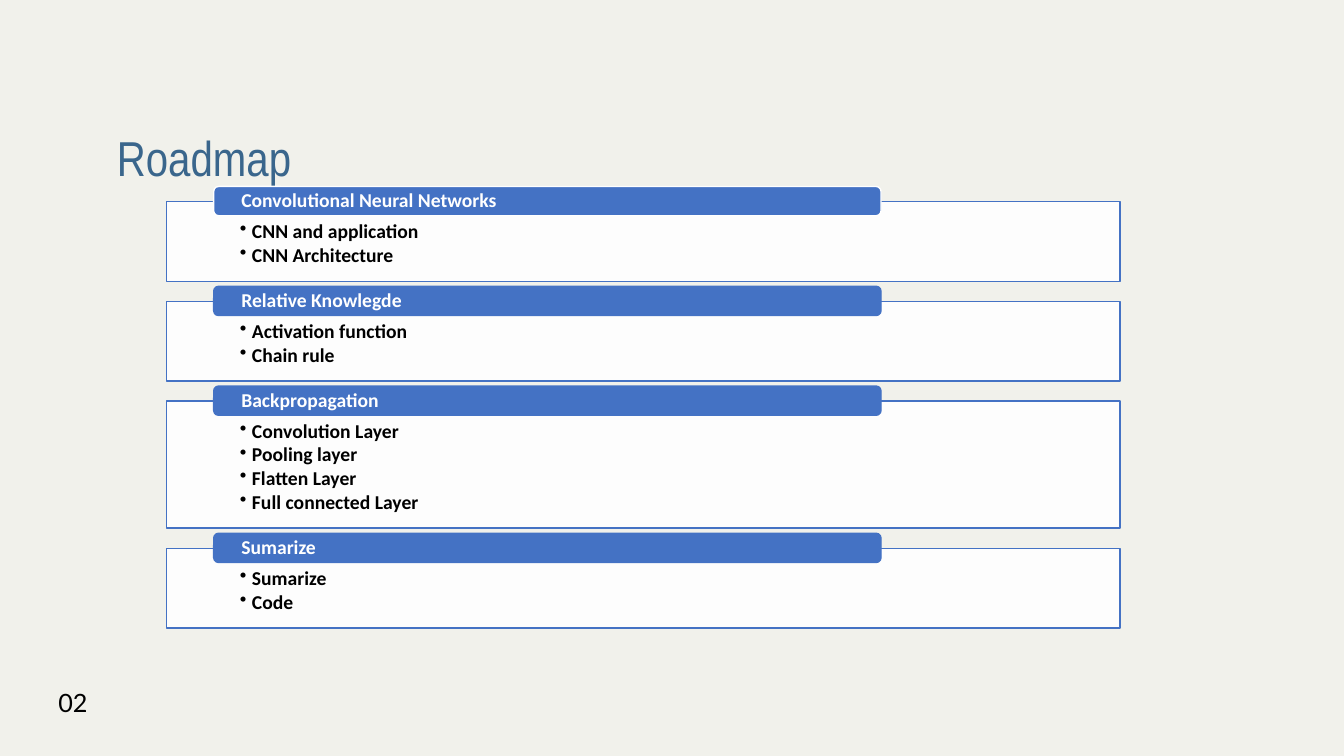
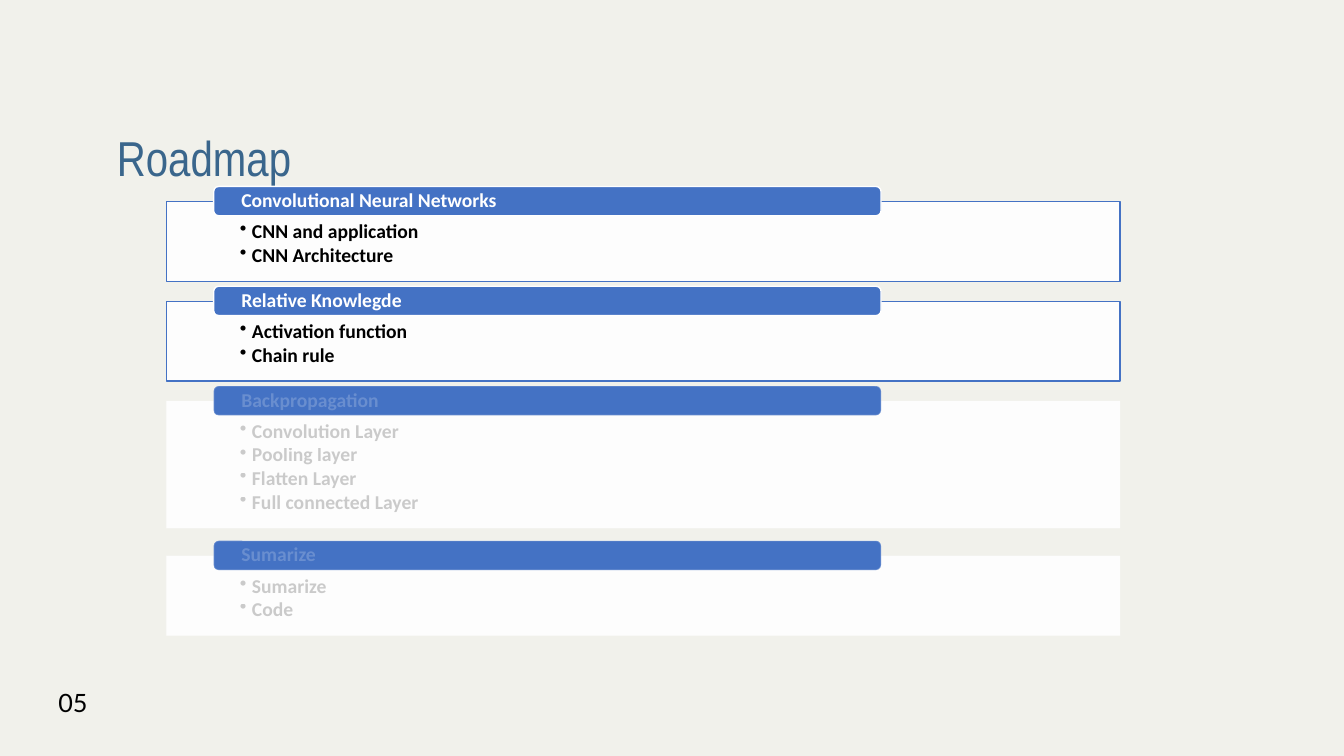
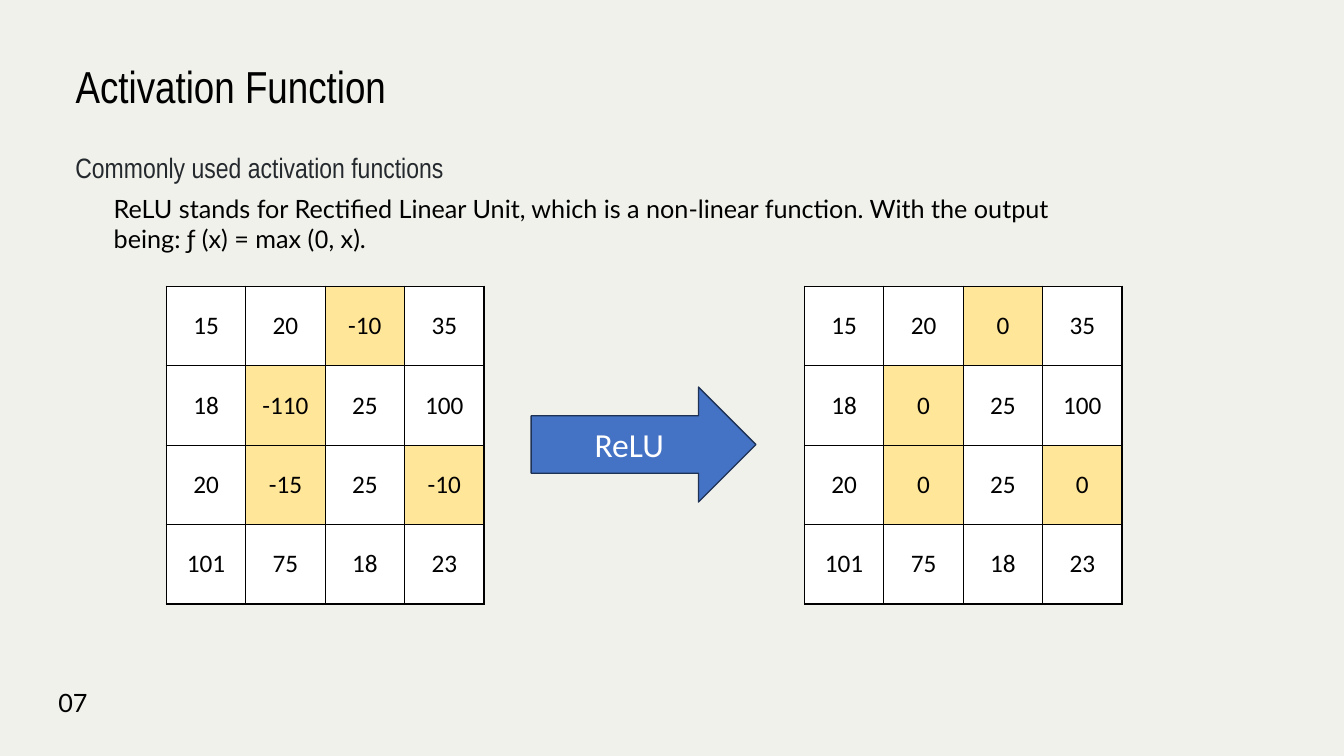
from dataclasses import dataclass
from itertools import product

from lxml.etree import SubElement
from pptx import Presentation
from pptx.dml.color import RGBColor
from pptx.enum.shapes import MSO_SHAPE
from pptx.enum.text import MSO_ANCHOR, MSO_AUTO_SIZE, PP_ALIGN
from pptx.oxml.ns import qn
from pptx.util import Inches, Pt

COLORS = {
    "paper": "F1F1EB",
    "white": "FFFFFF",
    "black": "000000",
    "blue": "4472C4",
    "navy": "1E3256",
    "teal": "3A668C",
    "slate": "24292E",
    "yellow": "FFE699",
}
COLS, ROWS = 133.33, 75
TITLE_FONT, BODY_FONT, NOTE_FONT = "Arial Narrow", "Calibri", "Lato"
FADED = 20
PANEL_LEFT, PANEL_WIDTH = 16.5, 94.6
HEADER_LEFT, HEADER_WIDTH, HEADER_HEIGHT = 21.2, 66.2, 2.9
FIRST_PANEL, PANEL_GAP, HEADER_RISE = 20, 2, 1.5
PANEL_PADDING, ITEM_HEIGHT = 3.2, 2.35
CELL = 7.88


@dataclass
class Box:
    left: float
    top: float
    width: float
    height: float

    def emu(self) -> tuple:
        return tuple(map(grid, (self.left, self.top, self.width, self.height)))


@dataclass
class Section:
    title: str
    items: list[str]


@dataclass
class Roadmap:
    page: str
    active: int
    white_edges: int
    last_shift: float = 0


SECTIONS = [
    Section("Convolutional Neural Networks", ["CNN and application", "CNN Architecture"]),
    Section("Relative Knowlegde", ["Activation function", "Chain rule"]),
    Section("Backpropagation",
            ["Convolution Layer", "Pooling layer", "Flatten Layer", "Full connected Layer"]),
    Section("Sumarize", ["Sumarize", "Code"]),
]
ROADMAPS = [
    Roadmap("02", active=4, white_edges=1),
    Roadmap("05", active=2, white_edges=4, last_shift=0.75),
]
MATRIX = [
    [15, 20, -10, 35],
    [18, -110, 25, 100],
    [20, -15, 25, -10],
    [101, 75, 18, 23],
]


def grid(units: float) -> int:
    return Inches(units / 10)


def rgb(name: str) -> RGBColor:
    return RGBColor.from_string(COLORS[name])


def set_alpha(el, percent: int) -> None:
    if percent < 100:
        for color in el.iter(qn("a:srgbClr")):
            SubElement(color, qn("a:alpha"), val=str(percent * 1000))


def write(p, text: str, *, size: float, color: str, font: str = BODY_FONT,
          bold: bool = False, alpha: int = 100) -> None:
    r = p.add_run()
    r.text = text
    r.font.size, r.font.name, r.font.bold = Pt(size), font, bold
    r.font.color.rgb = rgb(color)
    set_alpha(r._r, alpha)


def set_insets(tf, horizontal: float, top: float, bottom: float) -> None:
    tf.margin_left = tf.margin_right = grid(horizontal)
    tf.margin_top, tf.margin_bottom = grid(top), grid(bottom)


def add_text(slide, box: Box, text: str, **fmt):
    tf = slide.shapes.add_textbox(*box.emu()).text_frame
    tf.word_wrap = True
    write(tf.paragraphs[0], text, **fmt)
    return tf.paragraphs[0]


def add_slide(prs, page: str, title: str, box: Box, **fmt):
    slide = prs.slides.add_slide(prs.slide_layouts[5])
    sp = slide.shapes.title
    sp.left, sp.top, sp.width, sp.height = box.emu()
    tf = sp.text_frame
    tf.word_wrap, tf.auto_size = True, MSO_AUTO_SIZE.NONE
    tf.vertical_anchor = MSO_ANCHOR.TOP
    tf.paragraphs[0].alignment = PP_ALIGN.LEFT
    write(tf.paragraphs[0], title, font=TITLE_FONT, **fmt)
    add_text(slide, Box(4.8, 67.7, 5.5, 4), page, size=18, color="black", font=NOTE_FONT)
    return slide


def add_block(slide, kind, box: Box, *, fill: str, line: str,
              fill_alpha: int = 100, line_alpha: int = 100):
    sp = slide.shapes.add_shape(kind, *box.emu())
    sp.shadow.inherit = False
    sp.fill.solid()
    sp.fill.fore_color.rgb = rgb(fill)
    sp.line.color.rgb = rgb(line)
    sp.line.width = Pt(1)
    spPr = sp._element.spPr
    set_alpha(spPr.find(qn("a:solidFill")), fill_alpha)
    set_alpha(spPr.find(qn("a:ln")), line_alpha)
    sp.text_frame.word_wrap = True
    return sp


def add_bullet(p) -> None:
    pPr = p._p.get_or_add_pPr()
    indent = grid(1.2)
    pPr.set("marL", str(indent))
    pPr.set("indent", str(-indent))
    SubElement(pPr, qn("a:buChar"), char="•")


def add_section(slide, section: Section, top: float, height: float,
                active: bool, white_edge: bool) -> None:
    alpha = 100 if active else FADED
    panel = add_block(slide, MSO_SHAPE.RECTANGLE, Box(PANEL_LEFT, top, PANEL_WIDTH, height),
                      fill="white", fill_alpha=90,
                      line="blue" if active else "white", line_alpha=alpha)
    tf = panel.text_frame
    set_insets(tf, 7.3, 2, 1.1)
    tf.vertical_anchor = MSO_ANCHOR.TOP
    for i, item in enumerate(section.items):
        p = tf.add_paragraph() if i else tf.paragraphs[0]
        p.alignment, p.line_spacing, p.space_after = PP_ALIGN.LEFT, 0.9, Pt(1.8)
        add_bullet(p)
        write(p, item, size=14, color="black", bold=True, alpha=alpha)

    header = add_block(slide, MSO_SHAPE.ROUNDED_RECTANGLE,
                       Box(HEADER_LEFT, top - HEADER_RISE, HEADER_WIDTH, HEADER_HEIGHT),
                       fill="blue", line="white" if white_edge else "blue", line_alpha=alpha)
    tf = header.text_frame
    set_insets(tf, 2.6, 0.1, 0.1)
    tf.vertical_anchor = MSO_ANCHOR.MIDDLE
    p = tf.paragraphs[0]
    p.alignment, p.line_spacing = PP_ALIGN.LEFT, 0.9
    write(p, section.title, size=14, color="white", bold=True, alpha=alpha)


def add_roadmap(prs, roadmap: Roadmap) -> None:
    slide = add_slide(prs, roadmap.page, "Roadmap", Box(11.6, 3.2, 41.8, 12.7),
                      size=35, color="teal")
    tf = slide.shapes.title.text_frame
    set_insets(tf, 0, 0, 0)
    tf.paragraphs[0].line_spacing = Pt(110.3)
    top = FIRST_PANEL
    for i, section in enumerate(SECTIONS):
        height = PANEL_PADDING + ITEM_HEIGHT * len(section.items)
        if i == len(SECTIONS) - 1:
            top += roadmap.last_shift
        add_section(slide, section, top, height, i < roadmap.active, i < roadmap.white_edges)
        top += height + PANEL_GAP


def add_borders(cell) -> None:
    tcPr = cell._tc.get_or_add_tcPr()
    for side in ("lnL", "lnR", "lnT", "lnB"):
        ln = SubElement(tcPr, qn(f"a:{side}"), w=str(Pt(1)))
        SubElement(SubElement(ln, qn("a:solidFill")), qn("a:srgbClr"), val=COLORS["black"])


def add_matrix(slide, left: float, values: list[list[int]]) -> None:
    n = len(values)
    box = Box(left, 28.4, n * CELL, n * CELL)
    table = slide.shapes.add_table(n, n, *box.emu()).table
    table.first_row = table.horz_banding = False
    for row, col in product(range(n), repeat=2):
        cell = table.cell(row, col)
        add_borders(cell)
        cell.fill.solid()
        cell.fill.fore_color.rgb = rgb("yellow" if MATRIX[row][col] < 0 else "white")
        cell.vertical_anchor = MSO_ANCHOR.MIDDLE
        p = cell.text_frame.paragraphs[0]
        p.alignment = PP_ALIGN.CENTER
        write(p, str(values[row][col]), size=18, color="black")


def add_activation(prs) -> None:
    slide = add_slide(prs, "07", "Activation Function", Box(6.5, 5.3, 37.1, 6.4),
                      size=32, color="black")
    add_text(slide, Box(6.5, 14.4, 45.6, 4.4), "Commonly used activation functions",
             size=20, color="slate", font=TITLE_FONT)
    note = {"size": 18, "color": "black"}
    p = add_text(slide, Box(10.3, 18.7, 99.3, 7.1),
                 "ReLU stands for Rectified Linear Unit, which is a non-linear function. "
                 "With the output being: ƒ (x) = max (", font=NOTE_FONT, **note)
    write(p, "0", font="Arial", **note)
    write(p, ", x).", font=NOTE_FONT, **note)

    add_matrix(slide, 16.5, MATRIX)
    arrow = add_block(slide, MSO_SHAPE.RIGHT_ARROW, Box(52.7, 38.4, 22.3, 11.4),
                      fill="blue", line="navy")
    arrow.text_frame.vertical_anchor = MSO_ANCHOR.MIDDLE
    p = arrow.text_frame.paragraphs[0]
    p.alignment = PP_ALIGN.CENTER
    write(p, "ReLU", size=24, color="white")
    add_matrix(slide, 79.8, [[max(0, value) for value in row] for row in MATRIX])


def main() -> None:
    prs = Presentation()
    prs.slide_width, prs.slide_height = grid(COLS), grid(ROWS)
    background = prs.slide_master.background.fill
    background.solid()
    background.fore_color.rgb = rgb("paper")
    for roadmap in ROADMAPS:
        add_roadmap(prs, roadmap)
    add_activation(prs)
    prs.save("out.pptx")


if __name__ == "__main__":
    main()
